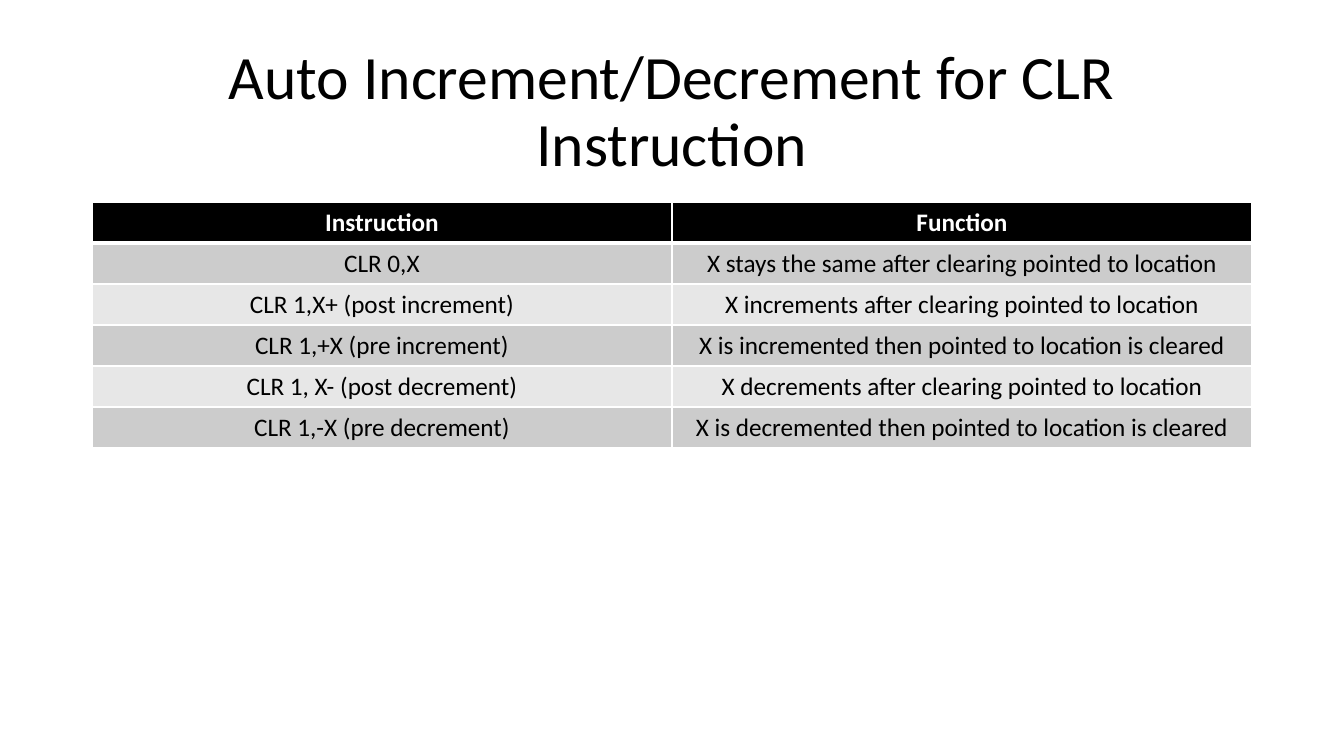
from lxml import etree
from pptx import Presentation
from pptx import util as u
from pptx.dml.color import RGBColor
from pptx.enum import text
from pptx.oxml.ns import qn

TITLE = "Auto Increment/Decrement for CLR Instruction"
ROWS = [
    ("Instruction", "Function"),
    ("CLR 0,X", "X stays the same after clearing pointed to location"),
    ("CLR 1,X+ (post increment)", "X increments after clearing pointed to location"),
    ("CLR 1,+X (pre increment)", "X is incremented then pointed to location is cleared"),
    ("CLR 1, X- (post decrement)", "X decrements after clearing pointed to location"),
    ("CLR 1,-X (pre decrement)", "X is decremented then pointed to location is cleared"),
]
COLORS = {"black": "000000", "white": "FFFFFF", "dark band": "CCCCCC", "light band": "E7E7E7"}
FONT = "Calibri"
PAGE_SIZE = (1344, 756)
TITLE_PLACE = (92, 40, 1160, 146)
TABLE_LEFT, TABLE_TOP = 92, 202
COLUMN_WIDTH, ROW_HEIGHT = 580, 41


def px(length):
    """Turn pixels into EMU."""
    return u.Inches(length / 100.8)


def write(frame, words, size, color="black", bold=False, spacing=1.0):
    """Put one centred paragraph of formatted text in a frame."""
    para = frame.paragraphs[0]
    para.alignment = text.PP_ALIGN.CENTER
    para.line_spacing = spacing
    span = para.add_run()
    span.text = words
    span.font.name = FONT
    span.font.size = u.Pt(size)
    span.font.bold = bold
    span.font.color.rgb = RGBColor.from_string(COLORS[color])


def add_borders(cell, **widths):
    """Draw white cell borders, with widths in points by side."""
    properties = cell._tc.get_or_add_tcPr()
    for index, side in enumerate("LRTB"):
        line = etree.Element(qn(f"a:ln{side}"), w=str(u.Pt(widths.get(side, 1))))
        fill = etree.SubElement(line, qn("a:solidFill"))
        etree.SubElement(fill, qn("a:srgbClr"), val=COLORS["white"])
        properties.insert(index, line)


def add_title(page):
    """Add the slide title."""
    frame = page.shapes.add_textbox(*map(px, TITLE_PLACE)).text_frame
    frame.word_wrap = True
    frame.vertical_anchor = text.MSO_ANCHOR.MIDDLE
    write(frame, TITLE, 44, spacing=0.9)


def add_instruction_table(page):
    """Add the table with a black header and banded rows."""
    count, columns = len(ROWS), len(ROWS[0])
    table = page.shapes.add_table(
        count, columns, px(TABLE_LEFT), px(TABLE_TOP),
        px(COLUMN_WIDTH * columns), px(ROW_HEIGHT * count)).table
    for row, entries in enumerate(ROWS):
        header = row == 0
        band = "black" if header else ("light band", "dark band")[row % 2]
        widths = {0: {"B": 3}, 1: {"T": 3}}.get(row, {})
        for column, words in enumerate(entries):
            cell = table.cell(row, column)
            cell.fill.solid()
            cell.fill.fore_color.rgb = RGBColor.from_string(COLORS[band])
            add_borders(cell, **widths)
            write(cell.text_frame, words, 18, "white" if header else "black", bold=header)


deck = Presentation()
deck.slide_width, deck.slide_height = map(px, PAGE_SIZE)
page = deck.slides.add_slide(deck.slide_layouts[6])
add_title(page)
add_instruction_table(page)
deck.save("out.pptx")
